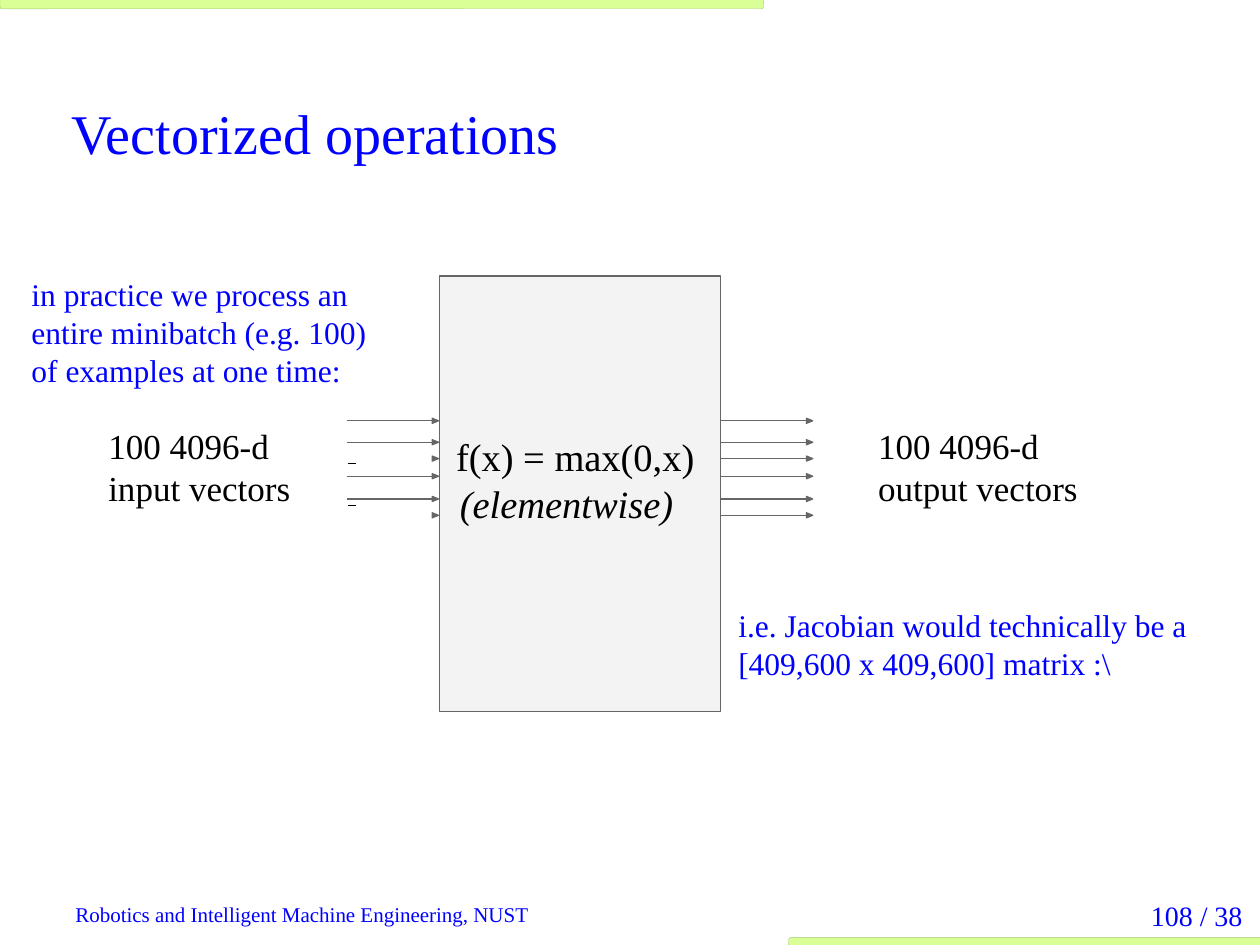
from dataclasses import dataclass

from lxml import etree
from pptx import Presentation
from pptx import util as u
from pptx.dml.color import RGBColor
from pptx.enum import shapes, text
from pptx.oxml import ns


@dataclass(frozen=True)
class Theme:
    """Colours, type sizes and strokes of the slide."""
    font: str = "Times New Roman"
    blue: str = "0000FF"
    black: str = "000000"
    gray: str = "666666"
    panel: str = "F3F3F3"
    lime: str = "D9FF96"
    lime_edge: str = "A8C878"
    title: int = 32
    formula: int = 22
    label: int = 20
    note: int = 18
    page: int = 16
    footer: int = 12
    stroke: float = 0.75
    edge: float = 0.25


THEME = Theme()
ROWS = (3.34, 3.51, 3.64, 3.78, 3.96, 4.09)
HEAD_ONLY_ROWS = (3.64, 4.09)
SHAFT, HEAD, HALF_HEAD = 0.68, 0.05, 0.02
FLUSH = {"margin_left": u.Inches(0.01), "margin_right": 0,
         "margin_top": u.Inches(0.01), "margin_bottom": 0}


def set_frame(frame, **values):
    """Set wrapping, anchoring and margins of a text frame."""
    defaults = {"word_wrap": True, "auto_size": text.MSO_AUTO_SIZE.NONE,
                "vertical_anchor": text.MSO_ANCHOR.TOP}
    for name, value in {**defaults, **values}.items():
        setattr(frame, name, value)


def add_span(para, words, size, color, **style):
    """Append a formatted run to a paragraph."""
    span = para.add_run()
    span.text = words
    values = {"name": THEME.font, "size": u.Pt(size), **style}
    for name, value in values.items():
        setattr(span.font, name, value)
    span.font.color.rgb = RGBColor.from_string(color)


def add_text(page, at, lines, size, color, margins=FLUSH, **style):
    """Add a text box with one paragraph per line."""
    frame = page.shapes.add_textbox(*map(u.Inches, at)).text_frame
    set_frame(frame, **margins)
    for index, words in enumerate(lines):
        para = frame.add_paragraph() if index else frame.paragraphs[0]
        for name, value in style.items():
            setattr(para, name, value)
        add_span(para, words, size, color)
    return frame


def paint(box, fill, line, width):
    """Give a shape a flat fill and an outline."""
    box.shadow.inherit = False
    box.fill.solid()
    box.fill.fore_color.rgb = RGBColor.from_string(fill)
    box.line.color.rgb = RGBColor.from_string(line)
    box.line.width = u.Pt(width)


def add_block(page, kind, at, fill, line, width):
    """Add a filled, outlined preset shape."""
    box = page.shapes.add_shape(kind, *map(u.Inches, at))
    paint(box, fill, line, width)
    return box


def add_shaft(page, left, top):
    """Add the thin horizontal line of an arrow."""
    shaft = page.shapes.add_connector(
        shapes.MSO_CONNECTOR.STRAIGHT,
        *map(u.Inches, (left, top, left + SHAFT, top)))
    shaft.line.color.rgb = RGBColor.from_string(THEME.gray)
    shaft.line.width = u.Pt(THEME.stroke)
    etree.SubElement(shaft._element.spPr, ns.qn("a:effectLst"))


def add_head(page, left, top):
    """Add the slim triangular head of an arrow."""
    pen = page.shapes.build_freeform(
        u.Inches(left), u.Inches(top + HALF_HEAD))
    pen.add_line_segments([(u.Inches(left), u.Inches(top - HALF_HEAD)),
                           (u.Inches(left + HEAD), u.Inches(top))])
    paint(pen.convert_to_shape(), THEME.gray, THEME.gray, THEME.stroke)


def add_tab_rule(para, stops):
    """End a paragraph with a short underlined gap at its tab stops."""
    tabs = etree.SubElement(para._p.get_or_add_pPr(), ns.qn("a:tabLst"))
    for stop in stops:
        etree.SubElement(tabs, ns.qn("a:tab"), pos=str(u.Inches(stop)), algn="l")
    add_span(para, "\t", THEME.label, THEME.black)
    add_span(para, " \t", THEME.label, THEME.black, underline=True)


def add_title(page, words):
    """Place and format the title placeholder."""
    title = page.shapes.title
    title.left, title.top, title.width, title.height = map(
        u.Inches, (0.56, 0.77, 4.78, 0.55))
    set_frame(title.text_frame, **FLUSH)
    para = title.text_frame.paragraphs[0]
    para.alignment = text.PP_ALIGN.LEFT
    add_span(para, words, THEME.title, THEME.blue)


def add_function_box(page):
    """Add the central box with its formula."""
    box = add_block(page, shapes.MSO_SHAPE.RECTANGLE, (3.49, 2.19, 2.23, 3.46),
                    THEME.panel, THEME.gray, THEME.stroke)
    frame = box.text_frame
    set_frame(frame, margin_left=u.Inches(0.13), margin_right=0,
              margin_top=u.Inches(1.25), margin_bottom=0)
    formula, remark = frame.paragraphs[0], frame.add_paragraph()
    for para in (formula, remark):
        para.alignment = text.PP_ALIGN.LEFT
        para.line_spacing = u.Pt(26.4)
    remark._p.get_or_add_pPr().set("marL", str(u.Inches(0.03)))
    add_span(formula, "f(x) = max(0,x)", THEME.formula, THEME.black)
    add_span(remark, "(elementwise)", THEME.formula, THEME.black, italic=True)


def main():
    """Build the slide and save it."""
    deck = Presentation()
    deck.slide_width, deck.slide_height = u.Inches(10), u.Inches(7.5)
    page = deck.slides.add_slide(deck.slide_layouts[5])
    for at in ((0, -0.03, 6.06, 0.1), (6.26, 7.44, 3.81, 0.12)):
        add_block(page, shapes.MSO_SHAPE.ROUNDED_RECTANGLE, at,
                  THEME.lime, THEME.lime_edge, THEME.edge)
    add_title(page, "Vectorized operations")
    add_text(page, (8.86, 7.08, 1.1, 0.37), ["108 / 38"], THEME.page,
             THEME.blue, {}, alignment=text.PP_ALIGN.RIGHT)
    add_text(page, (0.5, 7.11, 5.75, 0.3),
             ["Robotics and Intelligent Machine Engineering, NUST"],
             THEME.footer, THEME.blue, {})
    for left, bare_rows in ((2.75, HEAD_ONLY_ROWS), (5.72, ())):
        for top in ROWS:
            if top not in bare_rows:
                add_shaft(page, left, top)
            add_head(page, left + SHAFT, top)
    inputs = add_text(page, (0.85, 3.36, 2.66, 0.69),
                      ["100 4096-d", "input vectors"], THEME.label, THEME.black)
    for para in inputs.paragraphs:
        add_tab_rule(para, (1.9, 2.64))
    add_text(page, (6.96, 3.36, 1.77, 0.69),
             ["100 4096-d", "output vectors"], THEME.label, THEME.black)
    add_text(page, (0.24, 2.17, 2.93, 0.93),
             ["in practice we process an entire minibatch (e.g. 100) "
              "of examples at one time:"],
             THEME.note, THEME.blue, line_spacing=1.01)
    add_text(page, (5.85, 4.8, 3.94, 0.63),
             ["i.e. Jacobian would technically be a [409,600 x 409,600] matrix :\\"],
             THEME.note, THEME.blue, line_spacing=1.01)
    add_function_box(page)
    deck.save("out.pptx")


if __name__ == "__main__":
    main()
